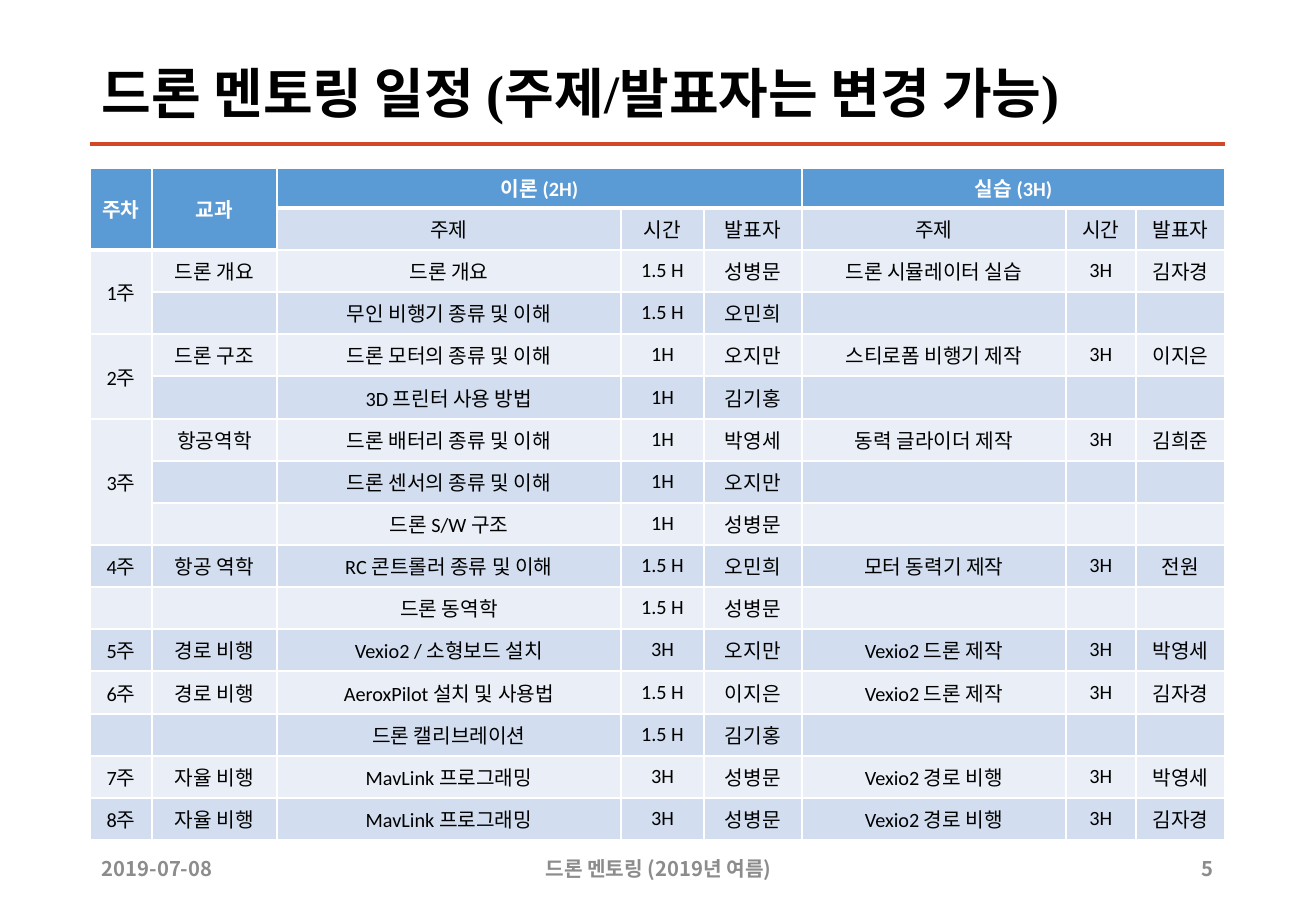
from dataclasses import dataclass

from lxml import etree
from pptx import Presentation
from pptx.dml.color import RGBColor
from pptx.enum.shapes import MSO_CONNECTOR
from pptx.enum.text import MSO_ANCHOR, PP_ALIGN
from pptx.oxml.ns import qn
from pptx.util import Emu, Pt

LEFT, CENTER, RIGHT = PP_ALIGN.LEFT, PP_ALIGN.CENTER, PP_ALIGN.RIGHT
MIDDLE = MSO_ANCHOR.MIDDLE
STRAIGHT = MSO_CONNECTOR.STRAIGHT
PX = 914400 / 121.5


@dataclass(frozen=True)
class Theme:
    """Colours, fonts and type sizes of the slide."""
    black: str = "000000"
    white: str = "FFFFFF"
    accent: str = "D24726"
    header: str = "5B9BD5"
    bands: tuple = ("EAEFF7", "D2DEEF")
    muted: str = "8C8C8C"
    title_font: str = "Times New Roman"
    table_font: str = "Calibri"
    korean_font: str = "Noto Sans CJK KR"
    title_size: int = 32
    text_size: int = 12


THEME = Theme()


def px(length):
    """Turn pixels into EMU."""
    return Emu(round(length * PX))


def write(frame, text, font, size, color, bold, align, spacing=1.0):
    """Fill a text frame with one styled paragraph."""
    frame.word_wrap = True
    paragraph = frame.paragraphs[0]
    if text:
        paragraph.add_run().text = text
    paragraph.alignment = align
    paragraph.line_spacing = spacing
    style = paragraph.font
    style.name, style.size, style.bold = font, Pt(size), bold
    style.color.rgb = RGBColor.from_string(color)
    etree.SubElement(style._rPr, qn("a:ea"), typeface=THEME.korean_font)
    etree.SubElement(paragraph._p, qn("a:endParaRPr"), sz=str(size * 100))


prs = Presentation()
prs.slide_width, prs.slide_height = px(1316), px(911)
slide = prs.slides.add_slide(prs.slide_layouts[6])

# Title rule
rule = slide.shapes.add_connector(STRAIGHT, px(90), px(144), px(1225), px(144))
rule.line.color.rgb = RGBColor.from_string(THEME.accent)
rule.line.width = Pt(2)
etree.SubElement(rule._element.spPr, qn("a:effectLst"))

# Title and footer: text, box, font, size, colour, alignment, line spacing
footer_style = (THEME.korean_font, THEME.text_size, THEME.muted)
captions = [
    ("드론 멘토링 일정 (주제/발표자는 변경 가능)", (90, 48, 1135, 96),
     (THEME.title_font, THEME.title_size, THEME.black), LEFT, 0.9),
    ("2019-07-08", (90, 844, 154, 49), footer_style, LEFT, 1.0),
    ("드론 멘토링 (2019년 여름)", (436, 844, 445, 49), footer_style, CENTER, 1.0),
    ("5", (1161, 844, 64, 49), footer_style, RIGHT, 1.0),
]
for text, box, (font, size, color), align, spacing in captions:
    frame = slide.shapes.add_textbox(*map(px, box)).text_frame
    frame.vertical_anchor = MIDDLE
    write(frame, text, font, size, color, True, align, spacing)

# Schedule: week, course, theory (topic, hours, speaker), practice (same)
NO_PRACTICE = ("", "", "")
schedule = [
    ("주차", "교과", "이론 (2H)", "", "", "실습 (3H)", "", ""),
    ("", "", *("주제", "시간", "발표자") * 2),
    ("1주", "드론 개요", "드론 개요", "1.5 H", "성병문", "드론 시뮬레이터 실습", "3H", "김자경"),
    ("", "", "무인 비행기 종류 및 이해", "1.5 H", "오민희", *NO_PRACTICE),
    ("2주", "드론 구조", "드론 모터의 종류 및 이해", "1H", "오지만", "스티로폼 비행기 제작", "3H", "이지은"),
    ("", "", "3D 프린터 사용 방법", "1H", "김기홍", *NO_PRACTICE),
    ("3주", "항공역학", "드론 배터리 종류 및 이해", "1H", "박영세", "동력 글라이더 제작", "3H", "김희준"),
    ("", "", "드론 센서의 종류 및 이해", "1H", "오지만", *NO_PRACTICE),
    ("", "", "드론 S/W 구조", "1H", "성병문", *NO_PRACTICE),
    ("4주", "항공 역학", "RC 콘트롤러 종류 및 이해", "1.5 H", "오민희", "모터 동력기 제작", "3H", "전원"),
    ("", "", "드론 동역학", "1.5 H", "성병문", *NO_PRACTICE),
    ("5주", "경로 비행", "Vexio2 / 소형보드 설치", "3H", "오지만", "Vexio2 드론 제작", "3H", "박영세"),
    ("6주", "경로 비행", "AeroxPilot 설치 및 사용법", "1.5 H", "이지은", "Vexio2 드론 제작", "3H", "김자경"),
    ("", "", "드론 캘리브레이션", "1.5 H", "김기홍", *NO_PRACTICE),
    ("7주", "자율 비행", "MavLink 프로그래밍", "3H", "성병문", "Vexio2 경로 비행", "3H", "박영세"),
    ("8주", "자율 비행", "MavLink 프로그래밍", "3H", "성병문", "Vexio2 경로 비행", "3H", "김자경"),
]
column_widths = [62, 125, 344, 83, 98, 264, 70, 89]
row_edges = [168, 208] + [250 + round(i * 590 / 14) for i in range(15)]
merges = [  # first row, first column, last row, last column
    (0, 0, 1, 0), (0, 1, 1, 1), (0, 2, 0, 4), (0, 5, 0, 7),
    (2, 0, 3, 0), (4, 0, 5, 0), (6, 0, 8, 0),
]

table = slide.shapes.add_table(
    len(schedule), len(column_widths), px(90), px(row_edges[0]),
    px(sum(column_widths)), px(row_edges[-1] - row_edges[0])).table
for column, width in zip(table.columns, column_widths):
    column.width = px(width)
for row, top, bottom in zip(table.rows, row_edges, row_edges[1:]):
    row.height = px(bottom - top)

for r, entries in enumerate(schedule):
    for c, text in enumerate(entries):
        cell = table.cell(r, c)
        is_header = r == 0 or (r == 1 and c < 2)
        cell.vertical_anchor = MIDDLE
        cell.margin_left = cell.margin_right = px(8)
        cell.margin_top = cell.margin_bottom = px(2)
        for side in ("lnL", "lnR", "lnT", "lnB"):
            under_header = (side == "lnB" and is_header) or (
                side == "lnT" and (r == 1 or (r == 2 and c < 2)))
            border = etree.SubElement(cell._tc.get_or_add_tcPr(), qn(f"a:{side}"),
                                      w=str(Pt(3 if under_header else 1)))
            paint = etree.SubElement(border, qn("a:solidFill"))
            etree.SubElement(paint, qn("a:srgbClr"), val=THEME.white)
        cell.fill.solid()
        cell.fill.fore_color.rgb = RGBColor.from_string(
            THEME.header if is_header else THEME.bands[r % 2])
        write(cell.text_frame, text, THEME.table_font, THEME.text_size,
              THEME.white if is_header else THEME.black, is_header, CENTER)

for top, left, bottom, right in merges:
    table.cell(top, left).merge(table.cell(bottom, right))

prs.save("out.pptx")
